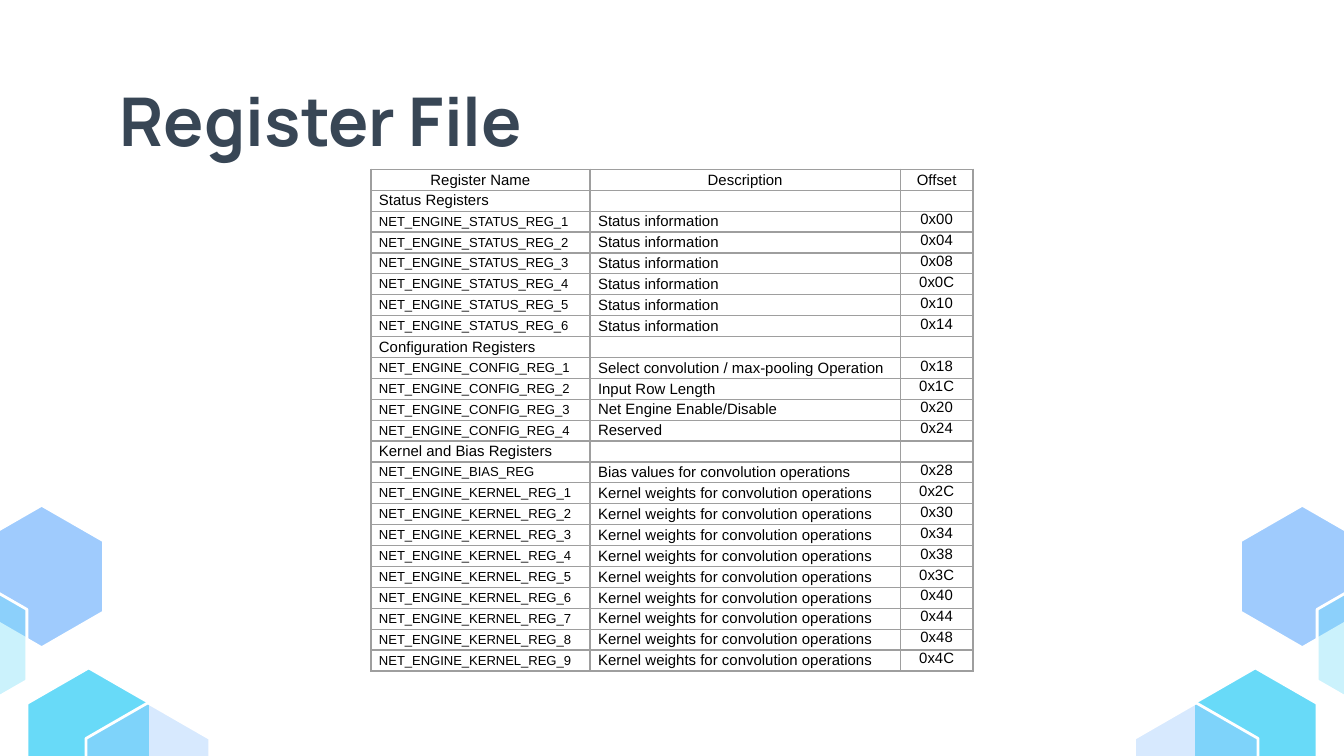
from dataclasses import dataclass

from lxml import etree
from pptx import Presentation
from pptx import util as u
from pptx.dml.color import RGBColor
from pptx.enum import text
from pptx.oxml.ns import qn

COLORS = {
    "blue": "9FCBFD",
    "cyan": "68DAF8",
    "white": "FFFFFF",
    "title": "384655",
    "text": "000000",
    "border": "9E9E9E",
}
SLIDE_WIDTH = 10
SLIDE_HEIGHT = SLIDE_WIDTH * 9 / 16
HEXAGON_WIDTH, HEXAGON_HEIGHT = 0.92, 1.06
TABLE_HEIGHT = 3.74
COLUMN_WIDTHS = (1.63, 2.31, 0.54)
HEADERS = ("Register Name", "Description", "Offset")


@dataclass(frozen=True)
class Hexagon:
    left: float
    top: float
    color: str
    opacity: int = 100


@dataclass(frozen=True)
class Register:
    name: str
    description: str


@dataclass(frozen=True)
class RegisterGroup:
    title: str
    registers: list[Register]


@dataclass(frozen=True)
class CellStyle:
    size: float = 8
    align: text.PP_ALIGN = text.PP_ALIGN.LEFT
    anchor: text.MSO_ANCHOR = text.MSO_ANCHOR.MIDDLE


HEADER = CellStyle(align=text.PP_ALIGN.CENTER)
BODY = CellStyle()
NAME = CellStyle(size=7)
OFFSET = CellStyle(align=text.PP_ALIGN.CENTER, anchor=text.MSO_ANCHOR.TOP)

HEXAGONS = [
    Hexagon(-0.15, 3.76, "blue"),
    Hexagon(0.2, 4.97, "cyan"),
    Hexagon(-0.72, 4.27, "cyan", 34),
    Hexagon(9.23, 3.76, "blue"),
    Hexagon(8.88, 4.97, "cyan"),
    Hexagon(9.8, 4.27, "cyan", 34),
    Hexagon(8.44, 5.23, "blue", 41),
    Hexagon(0.64, 5.23, "blue", 41),
]


def numbered(kind: str, descriptions: list[str]) -> list[Register]:
    return [
        Register(f"NET_ENGINE_{kind}_REG_{number}", description)
        for number, description in enumerate(descriptions, 1)
    ]


GROUPS = [
    RegisterGroup("Status Registers", numbered("STATUS", ["Status information"] * 6)),
    RegisterGroup(
        "Configuration Registers",
        numbered("CONFIG", [
            "Select convolution / max-pooling Operation",
            "Input Row Length",
            "Net Engine Enable/Disable",
            "Reserved",
        ]),
    ),
    RegisterGroup(
        "Kernel and Bias Registers",
        [Register("NET_ENGINE_BIAS_REG", "Bias values for convolution operations")]
        + numbered("KERNEL", ["Kernel weights for convolution operations"] * 9),
    ),
]


def rgb(name: str) -> RGBColor:
    return RGBColor.from_string(COLORS[name])


def draw_hexagon(slide, hexagon: Hexagon) -> None:
    left, top = hexagon.left, hexagon.top
    middle, right = left + HEXAGON_WIDTH / 2, left + HEXAGON_WIDTH
    upper, lower = top + HEXAGON_HEIGHT / 4, top + HEXAGON_HEIGHT * 3 / 4
    bottom = top + HEXAGON_HEIGHT
    builder = slide.shapes.build_freeform(u.Inches(middle), u.Inches(top))
    corners = [(right, upper), (right, lower), (middle, bottom), (left, lower), (left, upper)]
    builder.add_line_segments([(u.Inches(x), u.Inches(y)) for x, y in corners], close=True)
    shape = builder.convert_to_shape()
    shape.shadow.inherit = False
    shape.fill.solid()
    shape.fill.fore_color.rgb = rgb(hexagon.color)
    shape.line.color.rgb = rgb("white")
    shape.line.width = u.Pt(1.5)
    if hexagon.opacity < 100:
        color = shape._element.spPr.find(qn("a:solidFill")).find(qn("a:srgbClr"))
        etree.SubElement(color, qn("a:alpha"), val=str(hexagon.opacity * 1000))


def draw_title(slide, wording: str) -> None:
    title = slide.shapes.title
    title.left, title.top = u.Inches(0.79), u.Inches(0.49)
    title.width, title.height = u.Inches(8.43), u.Inches(0.63)
    frame = title.text_frame
    frame.text = wording
    frame.word_wrap = True
    frame.auto_size = text.MSO_AUTO_SIZE.NONE
    frame.vertical_anchor = text.MSO_ANCHOR.TOP
    frame.margin_left = frame.margin_right = u.Inches(0.1)
    frame.margin_top = frame.margin_bottom = u.Inches(0.1)
    paragraph = frame.paragraphs[0]
    paragraph.alignment = text.PP_ALIGN.LEFT
    font = paragraph.runs[0].font
    font.name, font.size, font.bold = "Manrope", u.Pt(36), True
    font.color.rgb = rgb("title")


def add_borders(cell) -> None:
    properties = cell._tc.get_or_add_tcPr()
    for position, side in enumerate(("lnL", "lnR", "lnT", "lnB")):
        line = etree.Element(qn(f"a:{side}"), w=str(u.Pt(0.75)))
        fill = etree.SubElement(line, qn("a:solidFill"))
        etree.SubElement(fill, qn("a:srgbClr"), val=COLORS["border"])
        properties.insert(position, line)


def fill_cell(cell, wording: str, style: CellStyle) -> None:
    cell.fill.background()
    cell.margin_left = cell.margin_right = u.Inches(0.06)
    cell.margin_top = cell.margin_bottom = 0
    cell.vertical_anchor = style.anchor
    add_borders(cell)
    paragraph = cell.text_frame.paragraphs[0]
    if not wording:
        etree.SubElement(paragraph._p, qn("a:endParaRPr"), sz=str(int(style.size * 100)))
        return
    paragraph.text = wording
    paragraph.alignment = style.align
    font = paragraph.runs[0].font
    font.name, font.size, font.bold = "Arial", u.Pt(style.size), False
    font.color.rgb = rgb("text")


def table_rows() -> list[tuple]:
    rows = [(HEADERS, (HEADER,) * 3)]
    address = 0
    for group in GROUPS:
        rows.append(((group.title, "", ""), (BODY,) * 3))
        for register in group.registers:
            wording = (register.name, register.description, f"0x{address:02X}")
            rows.append((wording, (NAME, BODY, OFFSET)))
            address += 4
    return rows


def draw_table(slide) -> None:
    rows = table_rows()
    table = slide.shapes.add_table(
        len(rows), len(COLUMN_WIDTHS), u.Inches(2.76), u.Inches(1.26),
        u.Inches(sum(COLUMN_WIDTHS)), u.Inches(TABLE_HEIGHT),
    ).table
    table.first_row = table.horz_banding = False
    for column, width in zip(table.columns, COLUMN_WIDTHS):
        column.width = u.Inches(width)
    for row, (wordings, styles) in zip(table.rows, rows):
        row.height = u.Inches(TABLE_HEIGHT / len(rows))
        for cell, wording, style in zip(row.cells, wordings, styles):
            fill_cell(cell, wording, style)


def main() -> None:
    presentation = Presentation()
    presentation.slide_width = u.Inches(SLIDE_WIDTH)
    presentation.slide_height = u.Inches(SLIDE_HEIGHT)
    slide = presentation.slides.add_slide(presentation.slide_layouts[5])
    for hexagon in HEXAGONS:
        draw_hexagon(slide, hexagon)
    draw_title(slide, "Register File")
    draw_table(slide)
    presentation.save("out.pptx")


if __name__ == "__main__":
    main()
